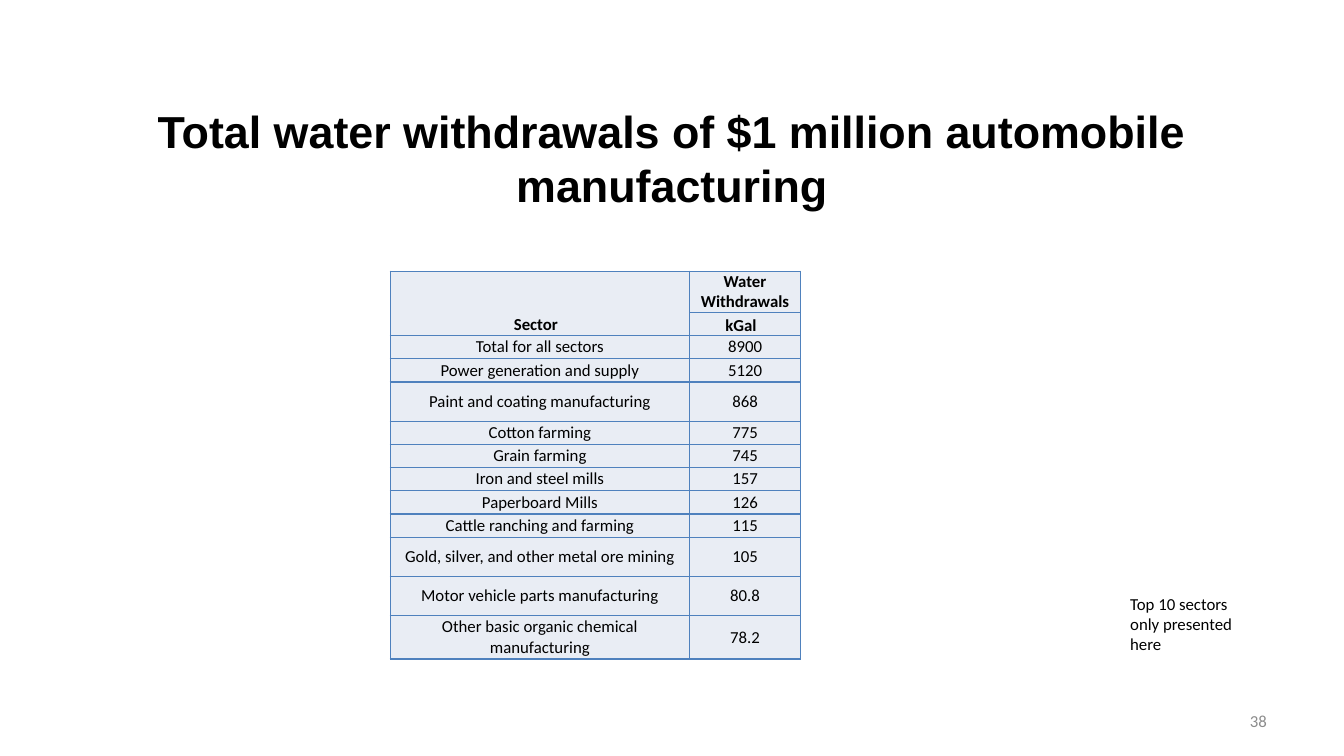
from lxml import etree
from pptx import Presentation
from pptx.dml.color import RGBColor
from pptx.enum.text import MSO_ANCHOR, PP_ALIGN
from pptx.oxml.ns import qn
from pptx.util import Inches, Pt

LEFT, CENTER, RIGHT = PP_ALIGN.LEFT, PP_ALIGN.CENTER, PP_ALIGN.RIGHT
TOP, MIDDLE, BOTTOM = MSO_ANCHOR.TOP, MSO_ANCHOR.MIDDLE, MSO_ANCHOR.BOTTOM
WIDTH, HEIGHT = Inches(13.33), Inches(7.5)
TITLE_ONLY = 5

BLACK, GRAY, CELL_FILL, BORDER = "000000", "8C8C8C", "E9EDF4", "4F81BD"

# Row heights as weights of the table height
SHORT, TALL, HEADER, LAST = 23, 39, 41, 43
SECTORS = [
    ("Total for all sectors", "8900", SHORT),
    ("Power generation and supply", "5120", SHORT),
    ("Paint and coating manufacturing", "868", TALL),
    ("Cotton farming", "775", SHORT),
    ("Grain farming", "745", SHORT),
    ("Iron and steel mills", "157", SHORT),
    ("Paperboard Mills", "126", SHORT),
    ("Cattle ranching and farming", "115", SHORT),
    ("Gold, silver, and other metal ore mining", "105", TALL),
    ("Motor vehicle parts manufacturing", "80.8", TALL),
    ("Other basic organic chemical manufacturing", "78.2", LAST),
]


def color(hex_code):
    return RGBColor.from_string(hex_code)


def place(left, top, width, height):
    """Turn percentages of the slide into a box."""
    return (int(WIDTH * left / 100), int(HEIGHT * top / 100),
            int(WIDTH * width / 100), int(HEIGHT * height / 100))


def write(frame, text, align, anchor, size=12, font="Calibri", ink=BLACK, bold=False):
    frame.word_wrap = True
    frame.vertical_anchor = anchor
    paragraph = frame.paragraphs[0]
    paragraph.alignment = align
    run = paragraph.add_run()
    run.text = text
    run.font.size, run.font.name, run.font.bold = Pt(size), font, bold
    run.font.color.rgb = color(ink)


def add_title(slide, box, text):
    title = slide.shapes.title
    title.left, title.top, title.width, title.height = box
    write(title.text_frame, text, CENTER, MIDDLE, size=32, font="Arial", bold=True)


def add_label(slide, box, text, align, anchor, ink=BLACK):
    label = slide.shapes.add_textbox(*box)
    write(label.text_frame, text, align, anchor, ink=ink)


def style_cell(cell):
    cell.margin_left = cell.margin_right = 0
    cell.margin_top = cell.margin_bottom = Inches(0.01)
    properties = cell._tc.get_or_add_tcPr()
    for side in ("a:lnL", "a:lnR", "a:lnT", "a:lnB"):
        line = etree.SubElement(properties, qn(side), w=str(Pt(1)))
        fill = etree.SubElement(line, qn("a:solidFill"))
        etree.SubElement(fill, qn("a:srgbClr"), val=BORDER)
    cell.fill.solid()
    cell.fill.fore_color.rgb = color(CELL_FILL)


def add_withdrawals(slide, box):
    rows = [("Sector", "Water Withdrawals", HEADER), ("", "kGal", SHORT)] + SECTORS
    table = slide.shapes.add_table(len(rows), 2, *box).table
    width, height = box[2:]
    for column, share in zip(table.columns, (0.73, 0.27)):
        column.width = int(width * share)
    total_weight = sum(weight for _, _, weight in rows)

    for index, (sector, amount, weight) in enumerate(rows):
        table.rows[index].height = int(height * weight / total_weight)
        is_header = index < 2
        for cell, text in zip(table.rows[index].cells, (sector, amount)):
            style_cell(cell)
            if is_header:
                cell.margin_top = cell.margin_bottom = 0
            if text:
                write(cell.text_frame, text, CENTER, MIDDLE, bold=is_header)
            cell.vertical_anchor = BOTTOM if is_header else MIDDLE

    # Sector spans both header rows; its label and the unit sit left of centre
    sector_head, unit_head = table.cell(0, 0), table.cell(1, 1)
    sector_head.merge(table.cell(1, 0))
    sector_head.margin_bottom = Inches(0.01)
    for head in (sector_head, unit_head):
        head.margin_right = Inches(0.08)


def main():
    deck = Presentation()
    deck.slide_width, deck.slide_height = WIDTH, HEIGHT
    slide = deck.slides.add_slide(deck.slide_layouts[TITLE_ONLY])

    add_title(slide, place(5, 13.07, 90, 15.6),
              "Total water withdrawals of $1 million automobile manufacturing")
    add_label(slide, place(71.7, 92.67, 23.3, 5.33), "38", RIGHT, MIDDLE, GRAY)
    add_withdrawals(slide, place(29.03, 35.87, 30.53, 51.33))
    add_label(slide, place(83.35, 77.87, 10.43, 9.47),
              "Top 10 sectors only presented here", LEFT, TOP)
    deck.save("out.pptx")


if __name__ == "__main__":
    main()
